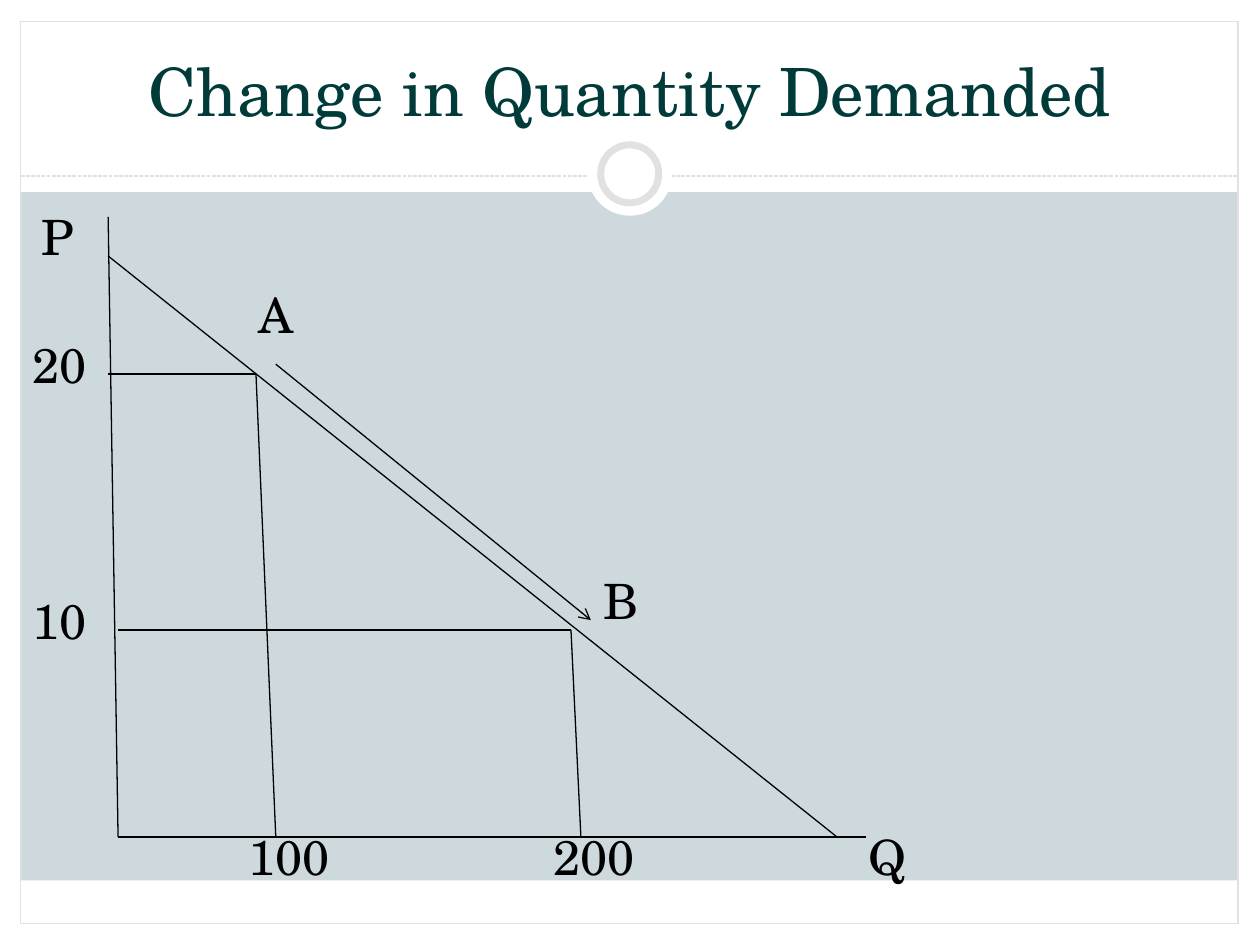
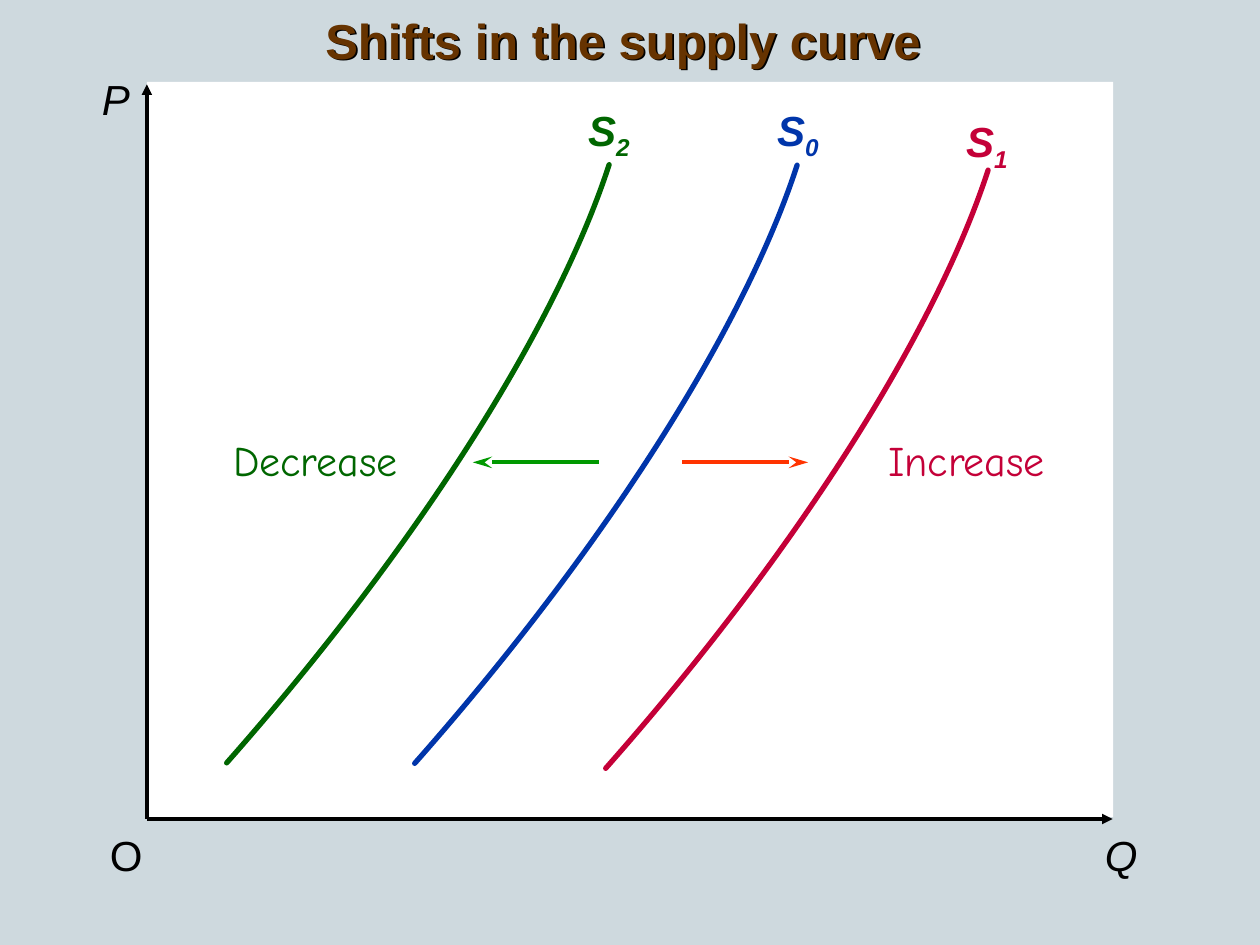
import lxml.etree
import pptx
import pptx.dml.color
import pptx.enum.dml
import pptx.enum.shapes
import pptx.enum.text
import pptx.oxml.ns
import pptx.util

Cm = pptx.util.Cm
Pt = pptx.util.Pt
rgb = pptx.dml.color.RGBColor.from_string
qn = pptx.oxml.ns.qn
RECTANGLE = pptx.enum.shapes.MSO_SHAPE.RECTANGLE
OVAL = pptx.enum.shapes.MSO_SHAPE.OVAL

BACKGROUND, WHITE, BLACK = "CED9DE", "FFFFFF", "000000"
RULE, TITLE_GREEN, TITLE_BROWN = "E1E1E1", "003B3A", "663300"
BLUE, RED, GREEN = "0035AA", "C40038", "006600"


def add_shape(slide, kind, box, fill=None, line=None, width=0.75):
    shape = slide.shapes.add_shape(kind, *[Cm(length) for length in box])
    shape.shadow.inherit = False
    if fill:
        shape.fill.solid()
        shape.fill.fore_color.rgb = rgb(fill)
    else:
        shape.fill.background()
    if line:
        shape.line.color.rgb = rgb(line)
        shape.line.width = Pt(width)
    else:
        shape.line.fill.background()


def add_line(slide, start, end, color=BLACK, width=0.75, arrow=None,
             arrow_length="med", dash=None):
    connector = slide.shapes.add_connector(
        pptx.enum.shapes.MSO_CONNECTOR.STRAIGHT,
        *[Cm(length) for length in (*start, *end)])
    connector.line.color.rgb = rgb(color)
    connector.line.width = Pt(width)
    if dash:
        connector.line.dash_style = dash
    properties = connector._element.spPr
    if arrow:
        line = properties.find(qn("a:ln"))
        lxml.etree.SubElement(line, qn("a:tailEnd"), type=arrow, len=arrow_length)
    lxml.etree.SubElement(properties, qn("a:effectLst"))


presentation = pptx.Presentation()
presentation.slide_width, presentation.slide_height = Cm(25.4), Cm(19.05)
demand, supply = [
    presentation.slides.add_slide(presentation.slide_layouts[6]) for _ in range(2)]
for slide in (demand, supply):
    slide.background.fill.solid()
    slide.background.fill.fore_color.rgb = rgb(BACKGROUND)

# Demand: white bands, border and ring around the plot
for band in [(0, 18.62, 25.4, 0.43), (0, 0, 25.4, 3.87), (0, 0, 0.43, 19.05),
             (24.96, 0, 0.44, 19.05), (0.41, 17.75, 24.54, 0.87)]:
    add_shape(demand, RECTANGLE, band, WHITE)
add_shape(demand, RECTANGLE, (0.42, 0.43, 24.54, 18.19), line=RULE)
add_line(demand, (0.42, 3.55), (24.96, 3.55), RULE,
         dash=pptx.enum.dml.MSO_LINE.SQUARE_DOT)
add_shape(demand, OVAL, (11.85, 2.66, 1.7, 1.69), WHITE)
add_shape(demand, OVAL, (12.11, 2.92, 1.17, 1.17), WHITE, RULE, 4)

# Demand: axes, demand line and guides to points A and B
origin, point_a, point_b = (2.38, 16.87), (5.16, 7.54), (11.51, 12.7)
for start, end in [
    ((2.18, 4.37), origin),
    (origin, (17.46, 16.87)),
    ((2.18, 5.16), (16.87, 16.87)),
    ((2.18, 7.54), point_a),
    (point_a, (5.56, 16.87)),
    ((2.38, 12.7), point_b),
    (point_b, (11.71, 16.87)),
]:
    add_line(demand, start, end)
add_line(demand, (5.56, 7.34), (11.91, 12.5), arrow="arrow")

# Supply: plot area and axes
add_shape(supply, RECTANGLE, (2.96, 1.65, 19.48, 14.82), WHITE)
for axis_end in [(2.96, 1.7), (22.43, 16.51)]:
    add_line(supply, (2.96, 16.51), axis_end, width=2, arrow="triangle")

# Supply: one Bezier curve, shifted sideways
CONTROLS = [(-1.1, 3.38), (-3.99, 7.85), (-7.71, 12.06)]
for left, top, color in [(16.07, 3.33, BLUE), (19.92, 3.43, RED), (12.28, 3.32, GREEN)]:
    builder = supply.shapes.build_freeform(Cm(left), Cm(top), scale=1.0)
    builder.add_line_segments(
        [(Cm(left + dx), Cm(top + dy)) for dx, dy in CONTROLS], close=False)
    curve = builder.convert_to_shape()
    outline = curve._element.spPr.find(".//" + qn("a:path"))
    bezier = lxml.etree.SubElement(outline, qn("a:cubicBezTo"))
    for segment in outline.findall(qn("a:lnTo")):
        bezier.append(segment[0])
        outline.remove(segment)
    curve.shadow.inherit = False
    curve.fill.background()
    curve.line.color.rgb = rgb(color)
    curve.line.width = Pt(3)
    curve._element.spPr.find(qn("a:ln")).set("cap", "rnd")
add_line(supply, (13.75, 9.32), (16.29, 9.32), "FF3300", 2.25, "stealth", "lg")
add_line(supply, (12.07, 9.32), (9.53, 9.32), "009900", 2.25, "stealth", "lg")

# Text of both slides: font, size, bold, italic, centred, line spacing
demand_title = ("TeX Gyre Schola", 38, False, False, True, 1.0)
demand_label = ("TeX Gyre Schola", 27.8, False, False, False, 0.7)
supply_title = ("Arial", 28, True, False, True, 1.0)
axis_label = ("Arial", 24, False, True, True, 1.0)
origin_label = ("Arial", 24, False, False, True, 1.0)
curve_label = ("Arial", 24, True, True, True, 1.0)
shift_label = ("Comic Neue", 24, False, False, True, 1.0)
for slide, text, subscript, box, color, style in [
    (demand, "Change in Quantity Demanded", "", (0.85, 0.64, 23.7, 2.11),
     TITLE_GREEN, demand_title),
    (demand, "A", "", (4.96, 5.95, 1.19, 1.19), BLACK, demand_label),
    (demand, "B", "", (11.91, 11.71, 1.19, 1.19), BLACK, demand_label),
    (demand, "P", "", (0.58, 4.37, 1.6, 1.19), BLACK, demand_label),
    (demand, "Q", "", (17.26, 16.87, 1.19, 1.19), BLACK, demand_label),
    (demand, "20", "", (0.41, 6.95, 1.78, 1.19), BLACK, demand_label),
    (demand, "10", "", (0.41, 12.11, 1.78, 1.19), BLACK, demand_label),
    (demand, "100", "", (4.76, 16.87, 2.39, 1.19), BLACK, demand_label),
    (demand, "200", "", (10.91, 16.87, 2.59, 1.19), BLACK, demand_label),
    (supply, "P", "", (1.8, 1.35, 1.07, 1.27), BLACK, axis_label),
    (supply, "Q", "", (21.92, 16.59, 1.37, 1.27), BLACK, axis_label),
    (supply, "O", "", (1.96, 16.59, 1.17, 1.27), BLACK, origin_label),
    (supply, "S", "2", (11.6, 1.98, 1.35, 1.42), GREEN, curve_label),
    (supply, "S", "0", (15.41, 1.98, 1.35, 1.42), BLUE, curve_label),
    (supply, "S", "1", (19.22, 2.21, 1.35, 1.42), RED, curve_label),
    (supply, "Increase", "", (17.63, 8.64, 3.71, 1.27), RED, shift_label),
    (supply, "Decrease", "", (4.43, 8.64, 3.86, 1.27), GREEN, shift_label),
    (supply, "Shifts in the supply curve", "", (0, 0.08, 25.12, 1.45),
     TITLE_BROWN, supply_title),
]:
    font_name, size, bold, italic, centred, spacing = style
    text_box = slide.shapes.add_textbox(*[Cm(length) for length in box])
    frame = text_box.text_frame
    frame.word_wrap = style in (demand_title, demand_label, supply_title)
    if style == demand_title:
        frame.vertical_anchor = pptx.enum.text.MSO_ANCHOR.BOTTOM
    paragraph = frame.paragraphs[0]
    paragraph.line_spacing = spacing
    if centred:
        paragraph.alignment = pptx.enum.text.PP_ALIGN.CENTER
    paragraph.font.name = font_name
    paragraph.font.size = Pt(size)
    paragraph.font.bold = bold
    paragraph.font.italic = italic
    paragraph.font.color.rgb = rgb(color)
    paragraph.add_run().text = text
    if subscript:
        lowered = paragraph.add_run()
        lowered.text = subscript
        lowered._r.get_or_add_rPr().set("baseline", "-25000")
    if style == supply_title:
        effects = lxml.etree.SubElement(text_box._element.spPr, qn("a:effectLst"))
        shadow = lxml.etree.SubElement(
            effects, qn("a:outerShdw"), dist="17961", dir="2700000")
        lxml.etree.SubElement(shadow, qn("a:srgbClr"), val=BLACK)

presentation.save("out.pptx")
